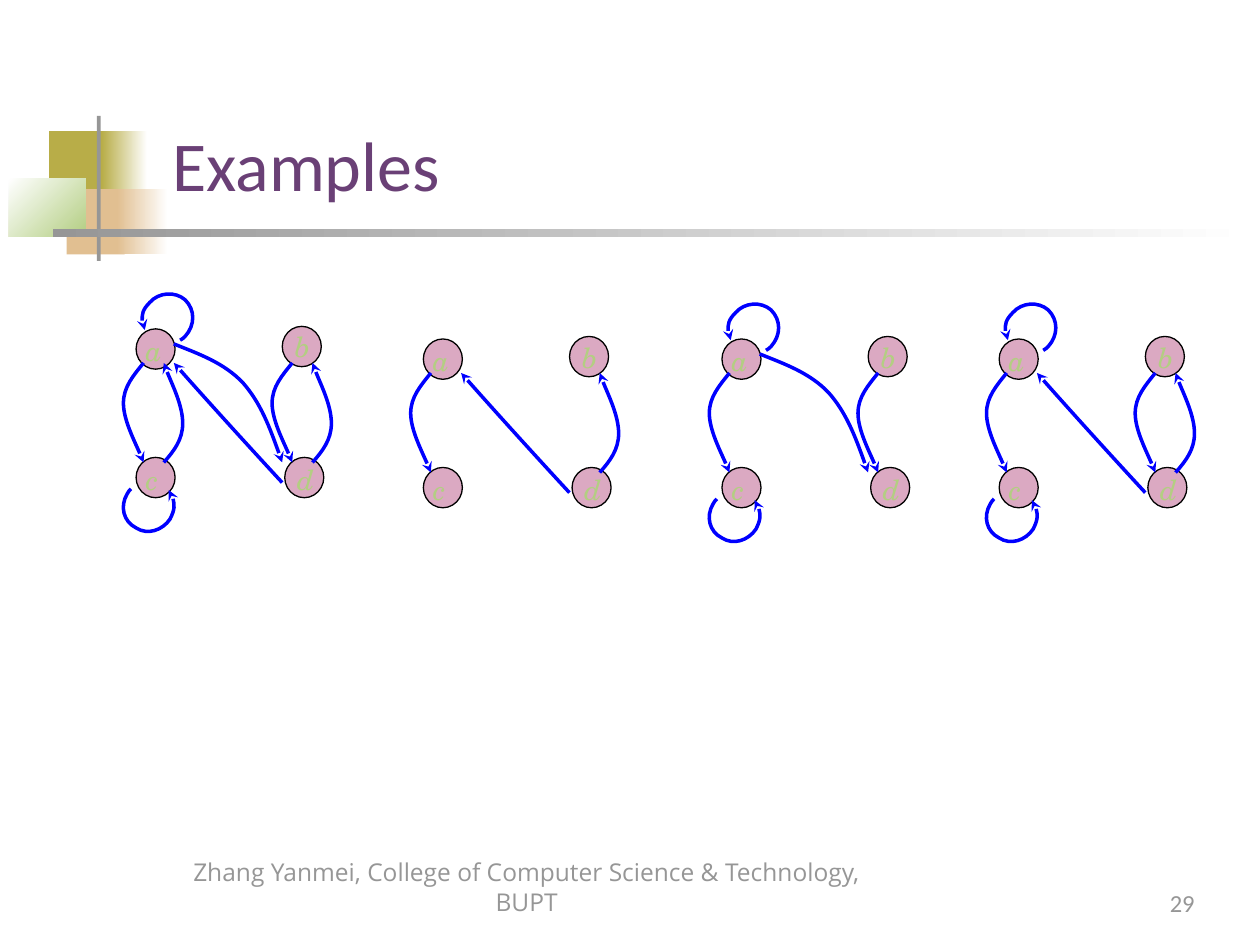
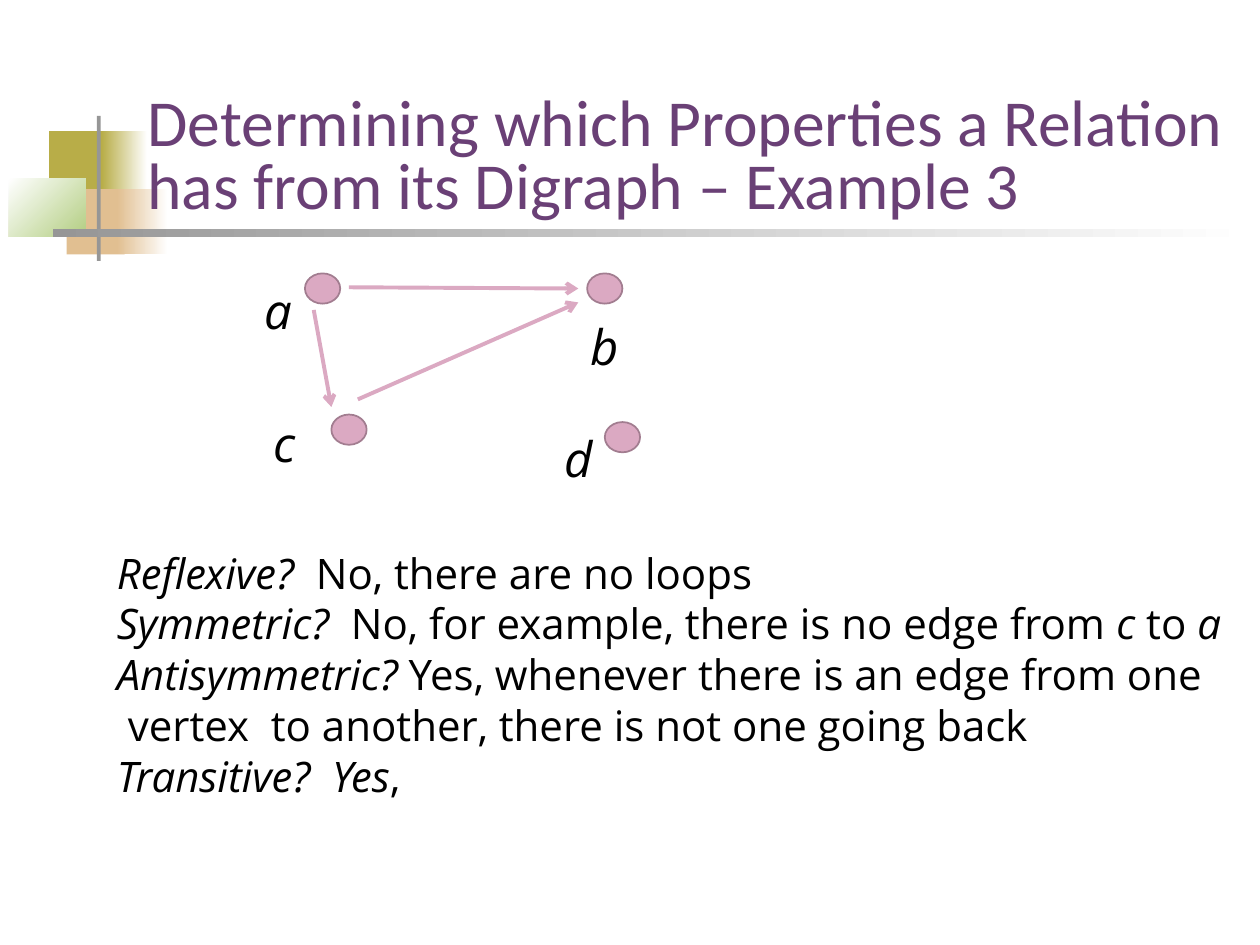
from dataclasses import dataclass

from lxml import etree
from pptx import Presentation
from pptx.dml.color import RGBColor
from pptx.enum.shapes import MSO_CONNECTOR, MSO_SHAPE
from pptx.enum.text import MSO_ANCHOR, MSO_AUTO_SIZE, PP_ALIGN
from pptx.oxml.ns import qn
from pptx.util import Inches, Pt

RECTANGLE, OVAL = MSO_SHAPE.RECTANGLE, MSO_SHAPE.OVAL
STRAIGHT = MSO_CONNECTOR.STRAIGHT
TOP, BOTTOM = MSO_ANCHOR.TOP, MSO_ANCHOR.BOTTOM
LEFT, CENTER, RIGHT = PP_ALIGN.LEFT, PP_ALIGN.CENTER, PP_ALIGN.RIGHT
GROW = MSO_AUTO_SIZE.SHAPE_TO_FIT_TEXT


@dataclass(frozen=True)
class Theme:
    white: str = "FFFFFF"
    black: str = "000000"
    olive: str = "B8AD48"
    sand: str = "E1BF91"
    green: str = "B3CE82"
    gray: str = "969696"
    purple: str = "6A4076"
    pink: str = "DBA9C2"
    mauve: str = "A27D90"
    blue: str = "0000FF"
    title_font: str = "Calibri"
    body_font: str = "Open Sans"
    math_font: str = "TeX Gyre Schola"
    title_size: float = 40
    long_title_size: float = 37.5
    vertex_size: float = 28
    body_size: float = 24
    node_size: float = 16
    footer_size: float = 14


THEME = Theme()

# Digraph geometry, as placed in the first digraph of the examples
NODE_SIZE = (0.31, 0.32)
NODES = {"a": (1.08, 2.61), "b": (2.24, 2.59), "c": (1.08, 3.63), "d": (2.26, 3.63)}
LABELS = {"a": (1.06, 2.6, 0.33), "b": (2.24, 2.57, 0.32),
          "c": (1.06, 3.62, 0.3), "d": (2.26, 3.62, 0.33)}
# Each edge is a start point followed by three points per Bezier curve
EDGES = {
    "aa": [(1.43, 2.7), (1.45, 2.69), (1.46, 2.68), (1.47, 2.67),
           (1.55, 2.58), (1.55, 2.46), (1.47, 2.38),
           (1.39, 2.31), (1.26, 2.32), (1.19, 2.4),
           (1.13, 2.46), (1.11, 2.55), (1.15, 2.62)],
    "cc": [(1.04, 3.88), (1.03, 3.89), (1.02, 3.9), (1.01, 3.92),
           (0.95, 4.02), (0.98, 4.14), (1.08, 4.19),
           (1.17, 4.25), (1.29, 4.21), (1.35, 4.12),
           (1.39, 4.04), (1.39, 3.95), (1.34, 3.89)],
    "ac": [(1.14, 2.88), (1.06, 2.98), (0.98, 3.07), (0.98, 3.2),
           (0.98, 3.33), (1.12, 3.61), (1.14, 3.67)],
    "ca": [(1.3, 3.67), (1.38, 3.58), (1.45, 3.49), (1.45, 3.36),
           (1.45, 3.22), (1.32, 2.95), (1.3, 2.88)],
    "ad": [(1.38, 2.73), (1.58, 2.81), (1.78, 2.88), (1.93, 3.04),
           (2.07, 3.2), (2.16, 3.44), (2.24, 3.67)],
    "da": [(2.24, 3.83), (1.88, 3.44), (1.52, 3.04), (1.38, 2.88)],
}
# The edges between b and d repeat those between a and c
EDGES["bd"] = [(x + 1.18, y) for x, y in EDGES["ac"]]
EDGES["db"] = [(x + 1.18, y) for x, y in EDGES["ca"]]

# Shift of each digraph, and the edges it has
DIGRAPHS = [
    ((0, 0), ["aa", "cc", "ac", "bd", "db", "ca", "ad", "da"]),
    ((2.28, 0.08), ["ac", "db", "da"]),
    ((4.65, 0.08), ["aa", "cc", "ac", "bd", "ad"]),
    ((6.85, 0.08), ["aa", "cc", "ac", "bd", "db", "da"]),
]

# Vertices of example 3: dot position, label position
VERTICES = {"a": ((2.42, 2.17), (2, 2.17)), "b": ((4.66, 2.17), (4.59, 2.46)),
            "c": ((2.63, 3.29), (2.07, 3.23)), "d": ((4.8, 3.35), (4.38, 3.35))}
ARROWS = [((2.77, 2.28), (4.59, 2.29)), ((2.49, 2.46), (2.63, 3.23)),
          ((2.84, 3.17), (4.59, 2.4))]

# Answers as lines of (text, italic)
ANSWERS = [
    [("Reflexive?", True), ("  No, there are no loops", False)],
    [("Symmetric?", True), ("  No, for example, there is no edge from ", False),
     ("c", True), (" to ", False), ("a", True)],
    [("Antisymmetric?", True), (" Yes, whenever there is an edge from one", False)],
    [(" vertex  to another, there is not one going back", False)],
    [("Transitive?  Yes", True), (",", False)],
]


def rgb(color):
    return RGBColor.from_string(color)


def inches(values):
    return [Inches(value) for value in values]


def add_figure(page, kind, at, fill, line=None, width=1):
    """Preset shape; a pair of colours as fill makes a gradient."""
    figure = page.shapes.add_shape(kind, *inches(at))
    figure.shadow.inherit = False
    if isinstance(fill, tuple):
        figure.fill.gradient()
        for stop, color in zip(figure.fill.gradient_stops, fill):
            stop.color.rgb = rgb(color)
        figure.fill.gradient_angle = 0
    else:
        figure.fill.solid()
        figure.fill.fore_color.rgb = rgb(fill)
    if line:
        figure.line.color.rgb = rgb(line)
        figure.line.width = Pt(width)
    else:
        figure.line.fill.background()
    return figure


def add_text(page, at, lines, font, size, color, anchor=TOP, align=LEFT,
             wrap=True, grow=False, spacing=None):
    box = page.shapes.add_textbox(*inches(at))
    frame = box.text_frame
    frame.word_wrap = wrap
    frame.vertical_anchor = anchor
    if grow:
        frame.auto_size = GROW
    for index, line in enumerate(lines):
        para = frame.paragraphs[0] if index == 0 else frame.add_paragraph()
        para.alignment = align
        if spacing:
            para.line_spacing = spacing
        for text, italic in line:
            span = para.add_run()
            span.text = text
            span.font.name = font
            span.font.size = Pt(size)
            span.font.italic = italic
            span.font.color.rgb = rgb(color)
    return box


def add_body(page, at, lines, size, color, **options):
    """Body text, with lines 1.2 times the type size apart."""
    return add_text(page, at, lines, THEME.body_font, size, color,
                    spacing=Pt(round(size * 1.2)), **options)


def add_title(page, at, text, size, spacing=None):
    return add_text(page, at, [[(text, False)]], THEME.title_font, size,
                    THEME.purple, anchor=BOTTOM, spacing=spacing)


def style_arrow(shape, color, width, head):
    shape.line.color.rgb = rgb(color)
    shape.line.width = Pt(width)
    outline = shape.line._get_or_add_ln()
    etree.SubElement(outline, qn("a:tailEnd"), type=head)


def add_arrow(page, start, end):
    arrow = page.shapes.add_connector(STRAIGHT, *inches(start + end))
    style_arrow(arrow, THEME.pink, 2.25, "arrow")
    etree.SubElement(arrow._element.spPr, qn("a:effectLst"))


def add_edge(page, points):
    """Curved arrow: each three line points become one Bezier curve."""
    builder = page.shapes.build_freeform(*inches(points[0]))
    builder.add_line_segments([inches(point) for point in points[1:]], close=False)
    edge = builder.convert_to_shape()
    edge.shadow.inherit = False
    edge.fill.background()
    style_arrow(edge, THEME.blue, 2, "stealth")
    segments = list(edge._element.iter(qn("a:lnTo")))
    for first in range(0, len(segments), 3):
        curve = etree.Element(qn("a:cubicBezTo"))
        segments[first].addprevious(curve)
        for segment in segments[first:first + 3]:
            curve.append(segment[0])
            segment.getparent().remove(segment)


def add_digraph(page, shift, edges):
    dx, dy = shift
    for x, y in NODES.values():
        add_figure(page, OVAL, (x + dx, y + dy, *NODE_SIZE), THEME.pink, THEME.black, 0.75)
    for name, (x, y, width) in LABELS.items():
        add_text(page, (x + dx, y + dy, width, 0.37), [[(name, True)]], THEME.math_font,
                 THEME.node_size, THEME.green, wrap=False, grow=True)
    for edge in edges:
        add_edge(page, [(x + dx, y + dy) for x, y in EDGES[edge]])


def add_page(deck):
    """Blank page with the shared squares and rules."""
    page = deck.slides.add_slide(deck.slide_layouts[6])
    add_figure(page, RECTANGLE, (0.39, 1.04, 0.48, 0.52), THEME.olive)
    add_figure(page, RECTANGLE, (0.81, 1.04, 0.36, 0.52), (THEME.olive, THEME.white))
    add_figure(page, RECTANGLE, (0.53, 1.5, 0.46, 0.52), THEME.sand)
    add_figure(page, RECTANGLE, (0.93, 1.5, 0.4, 0.52), (THEME.sand, THEME.white))
    square = add_figure(page, RECTANGLE, (0.07, 1.42, 0.61, 0.46), (THEME.white, THEME.green))
    square.fill.gradient_angle = 315
    add_figure(page, RECTANGLE, (0.77, 0.92, 0.03, 1.15), THEME.gray)
    add_figure(page, RECTANGLE, (0.42, 1.82, 9.51, 0.06), (THEME.gray, THEME.white))
    return page


def add_footer(page, text, number):
    add_body(page, (1.27, 6.82, 5.82, 0.5), [[(text, False)]], THEME.footer_size,
             THEME.gray, anchor=BOTTOM, align=CENTER)
    add_text(page, (7.5, 6.83, 2.08, 0.5), [[(number, False)]], THEME.title_font,
             THEME.footer_size, THEME.gray, anchor=BOTTOM, align=RIGHT)


def build_examples(deck):
    page = add_page(deck)
    add_title(page, (1.27, 0.43, 8.52, 1.25), "Examples", THEME.title_size)
    for shift, edges in DIGRAPHS:
        add_digraph(page, shift, edges)
    add_footer(page, "Zhang Yanmei, College of Computer Science & Technology, BUPT", "29")


def build_properties(deck):
    page = add_page(deck)
    add_body(page, (0.83, 4.29, 9, 2.12), ANSWERS, THEME.body_size, THEME.black, grow=True)
    for start, end in ARROWS:
        add_arrow(page, start, end)
    for name, (dot, label) in VERTICES.items():
        add_figure(page, OVAL, (*dot, 0.28, 0.24), THEME.pink, THEME.mauve)
        add_body(page, (*label, 0.35, 0.4), [[(name, True)]], THEME.vertex_size,
                 THEME.black, grow=True)
    title = add_title(
        page, (1.17, 0.51, 9, 1.25),
        "Determining which Properties a Relation has from its Digraph – Example 3",
        THEME.long_title_size, spacing=0.8)
    frame = title.text_frame
    frame.margin_left = frame.margin_right = frame.margin_bottom = 0


def main():
    deck = Presentation()
    deck.slide_width, deck.slide_height = Inches(10), Inches(7.5)
    build_examples(deck)
    build_properties(deck)
    deck.save("out.pptx")


if __name__ == "__main__":
    main()
